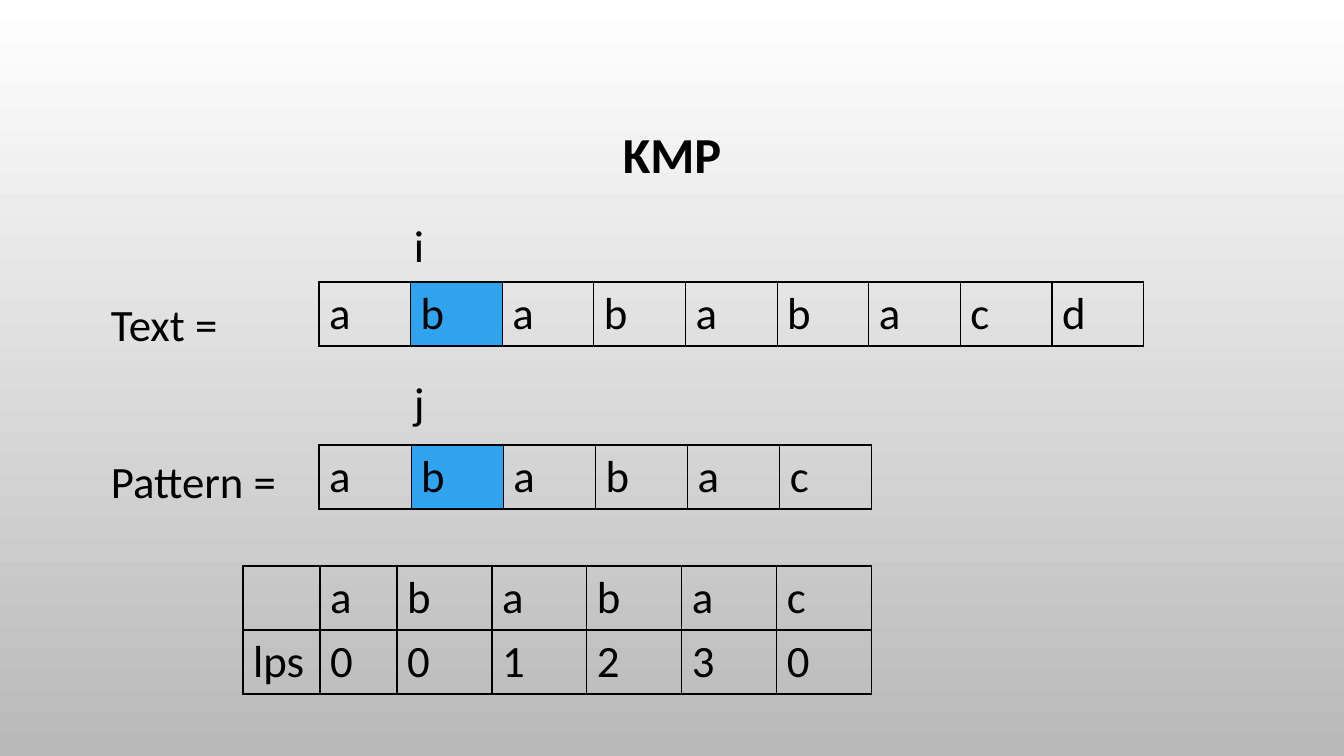
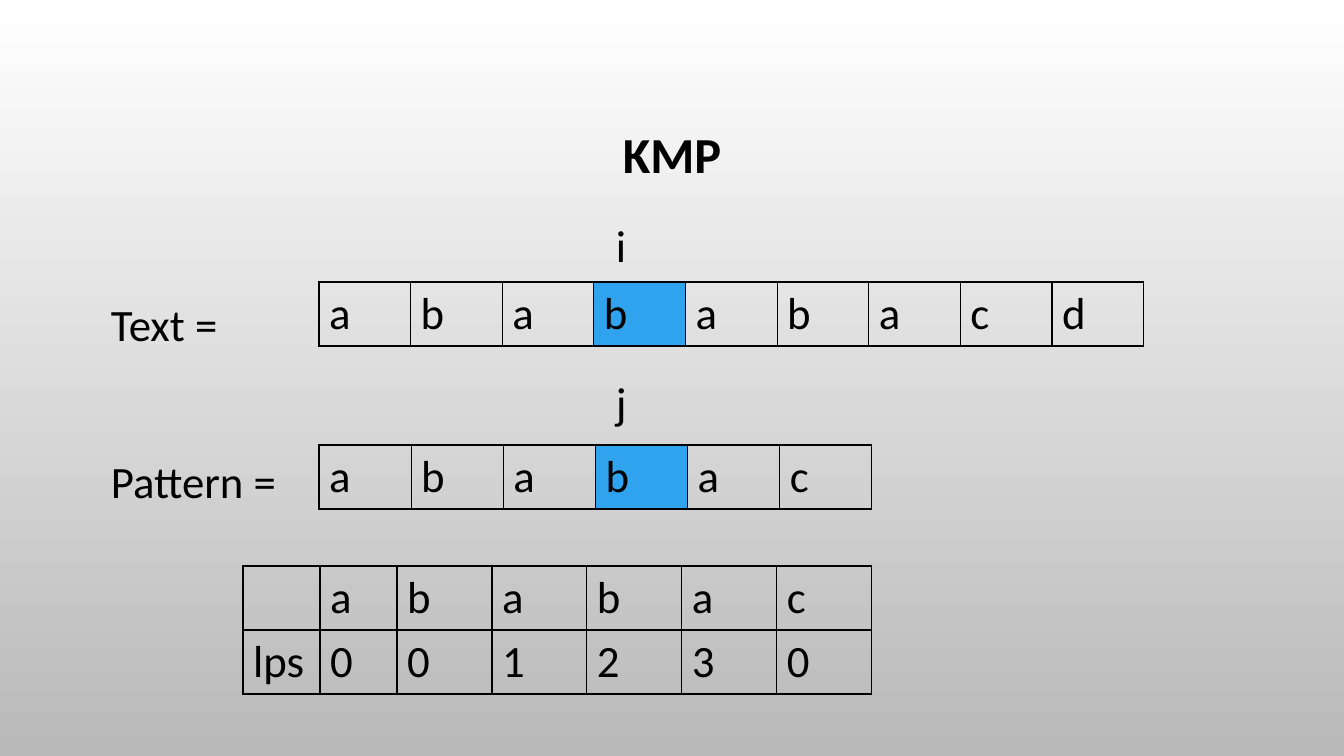
from lxml import etree
from pptx import Presentation
from pptx import util as u
from pptx.dml.color import RGBColor
from pptx.enum import text as t
from pptx.oxml import ns

PX = 914400 / 100.8
FONT = "Calibri"
BLACK = RGBColor(0x00, 0x00, 0x00)
HIGHLIGHT = RGBColor(0x2F, 0xA3, 0xEE)
BACKGROUND_STOPS = RGBColor(0xFF, 0xFF, 0xFF), RGBColor(0xB9, 0xB9, 0xB9)

TAB = 101
ROW_HEIGHT = 64
TITLE_BOX = 101, 69, 1142, 176
LABEL_BOX = 101, 202, 1173, 529
TEXT_BOX = 319, 282, 825, ROW_HEIGHT
PATTERN_BOX = 319, 445, 553, ROW_HEIGHT
LPS_BOX = 243, 566, 629, 2 * ROW_HEIGHT

TEXT = "abababacd"[:5] + "bacd"
PATTERN = "ababac"
LPS = "001230"
LPS_WEIGHTS = [77] * 2 + [95] * 5
MATCHED_COLUMNS = 1, 3


def px(length):
    return u.Emu(round(length * PX))


def write(paragraph, words, size=32, bold=False, align=None, spacing=None,
          before=None, indent=0):
    if indent:
        props = paragraph._p.get_or_add_pPr()
        props.set("marL", str(px(indent)))
        props.set("indent", "0")
    if align is not None:
        paragraph.alignment = align
    if spacing is not None:
        paragraph.line_spacing = spacing
    if before is not None:
        paragraph.space_before = u.Pt(before)
    run = paragraph.add_run()
    run.text = words
    run.font.name = FONT
    run.font.size = u.Pt(size)
    run.font.bold = bold
    run.font.color.rgb = BLACK


def add_frame(slide, box, anchor):
    frame = slide.shapes.add_textbox(*map(px, box)).text_frame
    frame.word_wrap = True
    frame.vertical_anchor = anchor
    return frame


def add_title(slide, box, words):
    frame = add_frame(slide, box, t.MSO_ANCHOR.MIDDLE)
    write(frame.paragraphs[0], words, size=36, bold=True,
          align=t.PP_ALIGN.CENTER, spacing=0.9)


def add_labels(slide, box, column):
    frame = add_frame(slide, box, t.MSO_ANCHOR.TOP)
    marker_indent = TAB * (column + 2)
    labels = [("i", marker_indent), ("Text =", 0),
              ("j", marker_indent), ("Pattern =", 0)]
    for index, (words, indent) in enumerate(labels):
        paragraph = frame.add_paragraph() if index else frame.paragraphs[0]
        write(paragraph, words, spacing=1.2, before=10 if index else 0,
              indent=indent)


def add_borders(cell):
    props = cell._tc.get_or_add_tcPr()
    for index, side in enumerate(("lnL", "lnR", "lnT", "lnB")):
        line = etree.Element(ns.qn(f"a:{side}"), w=str(u.Pt(1)))
        fill = etree.SubElement(line, ns.qn("a:solidFill"))
        etree.SubElement(fill, ns.qn("a:srgbClr"), val=str(BLACK))
        props.insert(index, line)


def add_grid(slide, box, rows, weights=None, highlighted=None):
    weights = weights or [1] * len(rows[0])
    left, top, width, height = box
    table = slide.shapes.add_table(len(rows), len(weights),
                                   *map(px, box)).table
    table.first_row = table.horz_banding = False
    for column, weight in zip(table.columns, weights):
        column.width = px(width * weight / sum(weights))
    for r, row in enumerate(rows):
        table.rows[r].height = px(height / len(rows))
        for c, words in enumerate(row):
            cell = table.cell(r, c)
            if c == highlighted:
                cell.fill.solid()
                cell.fill.fore_color.rgb = HIGHLIGHT
            else:
                cell.fill.background()
            add_borders(cell)
            if words:
                write(cell.text_frame.paragraphs[0], words)


def add_match_slide(prs, column):
    slide = prs.slides.add_slide(prs.slide_layouts[6])
    add_title(slide, TITLE_BOX, "KMP")
    add_labels(slide, LABEL_BOX, column)
    add_grid(slide, TEXT_BOX, [TEXT], highlighted=column)
    add_grid(slide, PATTERN_BOX, [PATTERN], highlighted=column)
    add_grid(slide, LPS_BOX, [["", *PATTERN], ["lps", *LPS]], LPS_WEIGHTS)


def set_background(master):
    fill = master.background.fill
    fill.gradient()
    fill.gradient_angle = 270
    for stop, color in zip(fill.gradient_stops, BACKGROUND_STOPS):
        stop.color.rgb = color


def main():
    prs = Presentation()
    prs.slide_width, prs.slide_height = px(1344), px(756)
    set_background(prs.slide_master)
    for column in MATCHED_COLUMNS:
        add_match_slide(prs, column)
    prs.save("out.pptx")


if __name__ == "__main__":
    main()
